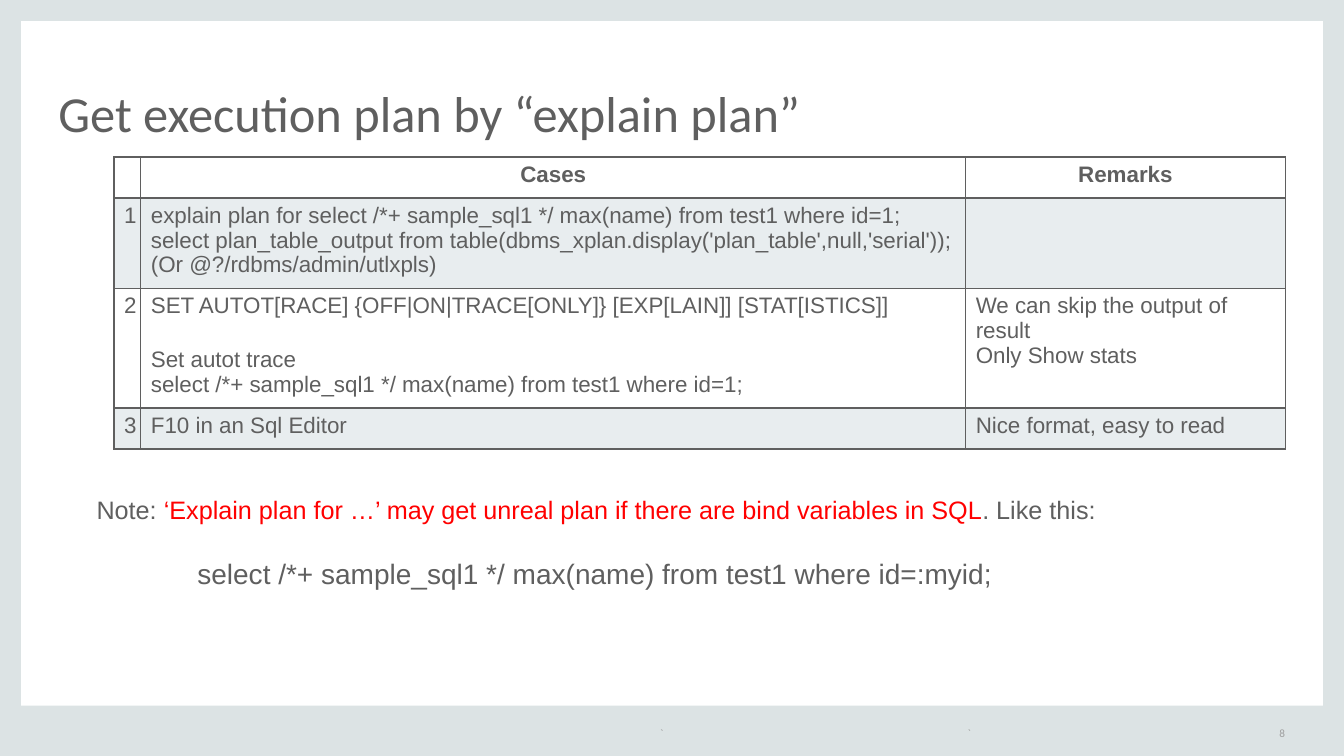
from dataclasses import dataclass
from typing import NamedTuple

from lxml import etree
from pptx import Presentation
from pptx.dml.color import RGBColor
from pptx.enum.shapes import MSO_SHAPE
from pptx.enum.text import MSO_ANCHOR, PP_ALIGN
from pptx.oxml.ns import qn
from pptx.util import Pt

RECTANGLE = MSO_SHAPE.RECTANGLE
TOP, MIDDLE, BOTTOM = MSO_ANCHOR.TOP, MSO_ANCHOR.MIDDLE, MSO_ANCHOR.BOTTOM
LEFT, CENTER, RIGHT = PP_ALIGN.LEFT, PP_ALIGN.CENTER, PP_ALIGN.RIGHT


@dataclass(frozen=True)
class Theme:
    """Colours, fonts and type sizes of the slide."""
    frame: str = "DCE3E4"
    ink: str = "5F5F5F"
    faint: str = "9F9F9F"
    alert: str = "FF0000"
    band: str = "E8EDEF"
    heading_font: str = "Calibri"
    body_font: str = "Arial"
    title_size: float = 36
    example_size: float = 20
    note_size: float = 18
    table_size: float = 16
    footer_size: float = 8


THEME = Theme()


class Box(NamedTuple):
    """A place on the slide, in points."""
    left: float
    top: float
    width: float
    height: float


class Run(NamedTuple):
    """A stretch of text in one style."""
    text: str
    size: float
    font: str = THEME.body_font
    color: str = THEME.ink
    bold: bool = False


class Line(NamedTuple):
    """A paragraph made of runs."""
    runs: list[Run]
    align: PP_ALIGN = LEFT
    spacing: float = 1.0
    before: float = 0
    indent: float = 0


def write_lines(frame, lines: list[Line]) -> None:
    """Fill a text frame with paragraphs, run by run."""
    for index, line in enumerate(lines):
        paragraph = frame.add_paragraph() if index else frame.paragraphs[0]
        paragraph.alignment = line.align
        paragraph.line_spacing = line.spacing
        paragraph.space_before = Pt(line.before)
        if line.indent:
            paragraph._p.get_or_add_pPr().set("marL", str(Pt(line.indent)))
        for part in line.runs:
            run = paragraph.add_run()
            run.text = part.text
            run.font.size = Pt(part.size)
            run.font.name = part.font
            run.font.bold = part.bold
            run.font.color.rgb = RGBColor.from_string(part.color)


def add_text(slide, box: Box, lines: list[Line], anchor: MSO_ANCHOR = TOP,
             inset: tuple[float, float] = (0, 0), wrap: bool = True) -> None:
    """Place a text box with the given side and top insets."""
    frame = slide.shapes.add_textbox(*map(Pt, box)).text_frame
    frame.word_wrap = wrap
    frame.vertical_anchor = anchor
    frame.margin_left = frame.margin_right = Pt(inset[0])
    frame.margin_top = frame.margin_bottom = Pt(inset[1])
    write_lines(frame, lines)


def add_bar(slide, box: Box) -> None:
    """Draw one side of the slide frame."""
    bar = slide.shapes.add_shape(RECTANGLE, *map(Pt, box))
    bar.shadow.inherit = False
    bar.fill.solid()
    bar.fill.fore_color.rgb = RGBColor.from_string(THEME.frame)
    bar.line.fill.background()


def set_borders(cell) -> None:
    """Rule all four sides of a table cell."""
    properties = cell._tc.get_or_add_tcPr()
    for side in ("lnL", "lnR", "lnT", "lnB"):
        rule = etree.SubElement(properties, qn(f"a:{side}"), w=str(Pt(1)))
        fill = etree.SubElement(rule, qn("a:solidFill"))
        etree.SubElement(fill, qn("a:srgbClr"), val=THEME.ink)


def add_cases(slide, box: Box, columns: list[float], heights: list[float],
              rows: list[list[list[Line]]]) -> None:
    """Build the table of cases, with every second row shaded."""
    table = slide.shapes.add_table(len(rows), len(columns), *map(Pt, box)).table
    table.first_row = table.horz_banding = False
    for column, width in zip(table.columns, columns):
        column.width = Pt(width)
    for row_index, (row, height) in enumerate(zip(rows, heights)):
        table.rows[row_index].height = Pt(height)
        for column_index, lines in enumerate(row):
            cell = table.cell(row_index, column_index)
            set_borders(cell)
            if row_index % 2:
                cell.fill.solid()
                cell.fill.fore_color.rgb = RGBColor.from_string(THEME.band)
            else:
                cell.fill.background()
            write_lines(cell.text_frame, lines)


def header(text: str) -> list[Line]:
    """Make a bold centred column heading."""
    return [Line([Run(text, THEME.table_size, bold=True)], CENTER)]


def entry(*texts: str) -> list[Line]:
    """Make the plain lines of a table cell."""
    return [Line([Run(text, THEME.table_size)]) for text in texts]


def footer(text: str, align: PP_ALIGN = LEFT) -> list[Line]:
    """Make a faint footer line."""
    return [Line([Run(text, THEME.footer_size, THEME.heading_font, THEME.faint)], align)]


WIDTH, HEIGHT, SIDE, FOOT = 960, 540, 15, 36

presentation = Presentation()
presentation.slide_width, presentation.slide_height = Pt(WIDTH), Pt(HEIGHT)
slide = presentation.slides.add_slide(presentation.slide_layouts[6])

for side in (Box(0, 0, SIDE, HEIGHT), Box(WIDTH - SIDE, 0, SIDE, HEIGHT),
             Box(0, HEIGHT - FOOT, WIDTH, FOOT), Box(0, 0, WIDTH, SIDE)):
    add_bar(slide, side)

title = Run("Get execution plan by “explain plan”", THEME.title_size, THEME.heading_font)
add_text(slide, Box(41.75, 31.7, 876, 69.8), [Line([title], spacing=0.8)], BOTTOM)

for left, width, text, align in ((471.6, 219.6, "`", LEFT), (691.2, 196.6, "`", LEFT),
                                 (887.8, 30.2, "8", RIGHT)):
    add_text(slide, Box(left, 516.25, width, 14.4), footer(text, align), MIDDLE, wrap=False)

autotrace = entry("SET AUTOT[RACE] {OFF|ON|TRACE[ONLY]} [EXP[LAIN]] [STAT[ISTICS]]",
                  "Set autot trace",
                  "select /*+ sample_sql1 */ max(name) from test1 where id=1;")
autotrace[1] = autotrace[1]._replace(before=20.5)
cases = [
    [[], header("Cases"), header("Remarks")],
    [entry("1"),
     entry("explain plan for select /*+ sample_sql1 */ max(name) from test1 where id=1;",
           "select plan_table_output from table(dbms_xplan.display('plan_table',null,'serial'));",
           "(Or @?/rdbms/admin/utlxpls)"), []],
    [entry("2"), autotrace, entry("We can skip the output of result", "Only Show stats")],
    [entry("3"), entry("F10 in an Sql Editor"), entry("Nice format, easy to read")],
]
add_cases(slide, Box(81.4, 112.2, 836.6, 199.2), [19.2, 589.2, 228.2],
          [29.2, 60.6, 80.2, 29.2], cases)

note = Line([
    Run("Note: ", THEME.note_size),
    Run("‘Explain plan for …’ may get unreal plan if there are bind variables in SQL",
        THEME.note_size, color=THEME.alert),
    Run(". Like this:", THEME.note_size),
])
example = Line([Run("select /*+ sample_sql1 */ max(name) from test1 where id=:myid;",
                    THEME.example_size)], before=23, indent=72)
add_text(slide, Box(61.9, 349.2, 746.6, 77.8), [note, example], inset=(7.2, 3.6))

presentation.save("out.pptx")
